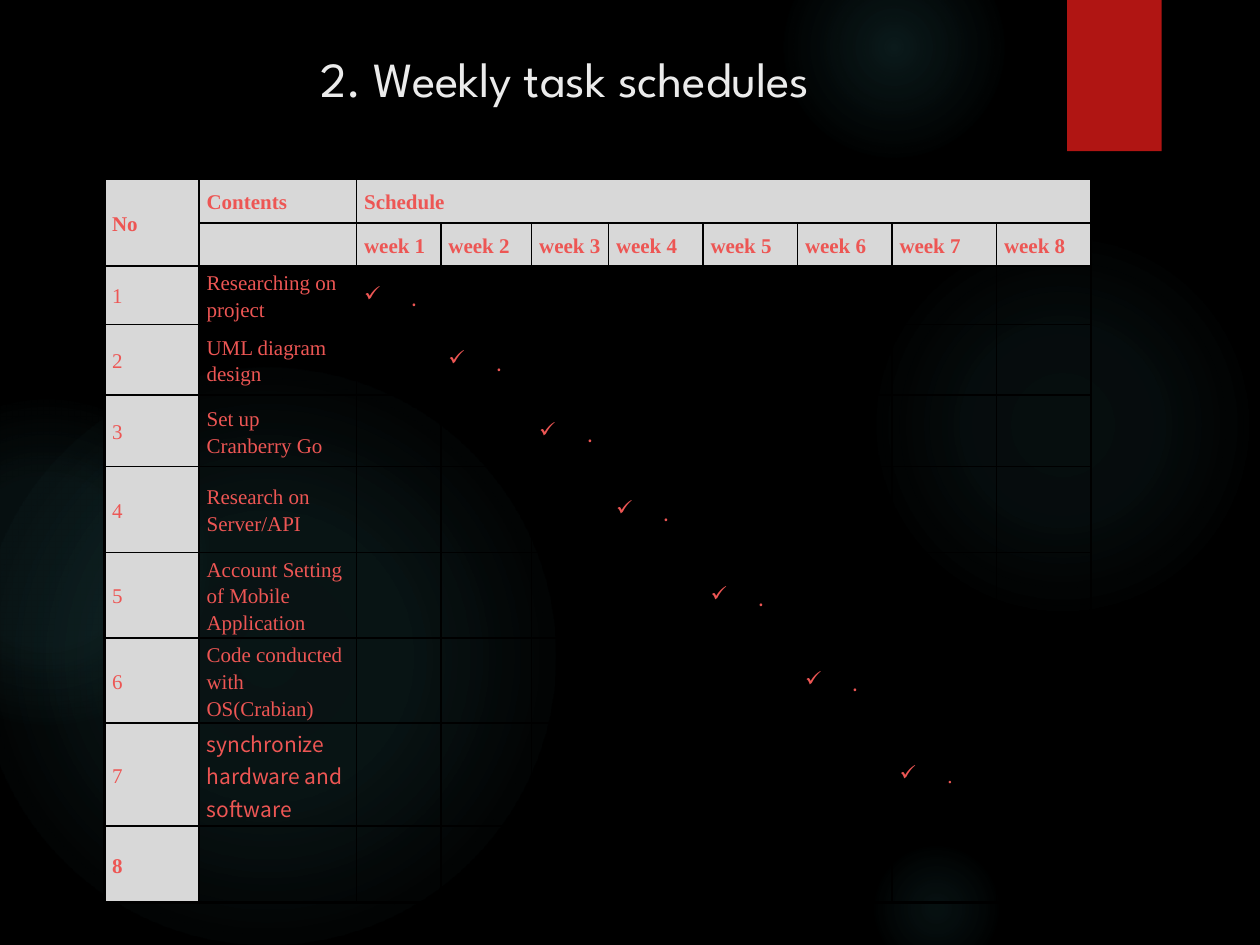
"""Build the weekly task schedule slide."""
from lxml.etree import SubElement
from pptx import Presentation
from pptx.dml.color import RGBColor
from pptx.enum.shapes import MSO_SHAPE as Shape
from pptx.enum.text import MSO_ANCHOR as Anchor, PP_ALIGN as Align
from pptx.oxml import parse_xml
from pptx.oxml.ns import nsdecls, qn
from pptx.util import Inches, Pt

SERIF, SANS = "Times New Roman", "Noto Sans CJK KR"
GREY, CORAL = "D8D8D8", "ED5654"


def color(value):
    return RGBColor.from_string(value)


presentation = Presentation()
presentation.slide_width, presentation.slide_height = Inches(10), Inches(7.5)
slide = presentation.slides.add_slide(presentation.slide_layouts[5])
slide.background.fill.solid()
slide.background.fill.fore_color.rgb = color("000000")

glows = [
    (6.89, 1.83, 3.08, (7, 6), 69),
    (6.22, -0.5, 1.75, (14, 7), 73),
    (6.89, 6.67, 1.08, (9, 5), 66),
    (-0.17, 2.92, 4.58, (11, 10), 75),
    (-0.92, 3.17, 2.58, (8, 8), 72),
]
for left, top, size, (inner, middle), edge in glows:
    glow = slide.shapes.add_shape(
        Shape.OVAL, Inches(left), Inches(top), Inches(size), Inches(size))
    glow.shadow.inherit = False
    glow.line.fill.background()
    stops = "".join(
        f'<a:gs pos="{position * 1000}"><a:srgbClr val="50B9C1">'
        f'<a:alpha val="{alpha * 1000}"/></a:srgbClr></a:gs>'
        for position, alpha in [(0, inner), (36, middle), (edge, 0)])
    gradient = parse_xml(
        f'<a:gradFill {nsdecls("a")} rotWithShape="1"><a:gsLst>{stops}</a:gsLst>'
        '<a:path path="circle"><a:fillToRect l="50000" t="50000" r="50000" b="50000"/>'
        '</a:path></a:gradFill>')
    glow.element.spPr.find(qn("a:prstGeom")).addnext(gradient)

ribbon = slide.shapes.add_shape(
    Shape.RECTANGLE, Inches(8.47), Inches(0), Inches(0.75), Inches(1.2))
ribbon.shadow.inherit = False
ribbon.fill.solid()
ribbon.fill.fore_color.rgb = color("B01513")
ribbon.line.fill.background()

tasks = [
    "Researching on project",
    "UML diagram design",
    "Set up Cranberry Go",
    "Research on Server/API",
    "Account Setting of Mobile Application",
    "Code conducted with OS(Crabian)",
    "synchronize hardware and software",
    "",
]
weeks = len(tasks)
rows = [["No", "Contents", "Schedule"] + [""] * (weeks - 1),
        ["", ""] + [f"week {week}" for week in range(1, weeks + 1)]]
for number, task in enumerate(tasks, 1):
    marks = ["." if task and week == number else "" for week in range(1, weeks + 1)]
    rows.append([str(number), task] + marks)

widths = [0.75, 1.25, 0.67, 0.72, 0.61, 0.75, 0.75, 0.75, 0.83, 0.75]
heights = [0.35, 0.34, 0.34, 0.56, 0.57, 0.68, 0.67, 0.63, 0.6, 0.61]
table = slide.shapes.add_table(
    len(rows), len(widths), Inches(0.83), Inches(1.42),
    Inches(sum(widths)), Inches(sum(heights))).table
table.first_row = table.horz_banding = False
for column, width in zip(table.columns, widths):
    column.width = Inches(width)
for row, height in zip(table.rows, heights):
    row.height = Inches(height)
table.cell(0, 0).merge(table.cell(1, 0))
table.cell(0, 2).merge(table.cell(0, len(widths) - 1))

last_row, last_column = len(rows) - 1, len(widths) - 1
for row_index, texts in enumerate(rows):
    for column_index, text in enumerate(texts):
        cell = table.cell(row_index, column_index)
        cell.vertical_anchor = Anchor.MIDDLE
        cell.margin_left = cell.margin_right = Inches(0.06)
        cell.margin_top = cell.margin_bottom = Inches(0.02)
        outer_sides = {"L": column_index == 0, "R": column_index == last_column,
                       "T": row_index == 0, "B": row_index == last_row}
        for side, outer in outer_sides.items():
            border = SubElement(cell._tc.get_or_add_tcPr(), qn(f"a:ln{side}"),
                                w=str(Pt(1.5 if outer else 1)))
            border_fill = SubElement(border, qn("a:solidFill"))
            SubElement(border_fill, qn("a:srgbClr"), val="000000")
        header = row_index < 2
        if header or column_index == 0:
            cell.fill.solid()
            cell.fill.fore_color.rgb = color(GREY)
        else:
            cell.fill.background()

        paragraph = cell.text_frame.paragraphs[0]
        if not text:
            SubElement(paragraph._p, qn("a:endParaRPr"), sz="1200")
            continue
        paragraph.text = text
        paragraph.line_spacing = 1.07 if text == tasks[6] else 1.15
        font = paragraph.runs[0].font
        font.name = SANS if text in (tasks[6], ".") and row_index != last_row - 1 or text == tasks[6] else SERIF
        font.size = Pt(12)
        font.bold = header or text == str(weeks)
        font.color.rgb = color(CORAL)
        if text == ".":
            properties = paragraph._p.get_or_add_pPr()
            properties.set("marL", str(Inches(0.38)))
            properties.set("indent", str(Inches(-0.38)))
            SubElement(properties, qn("a:buChar"), char="✓")

title = slide.shapes.title
title.element.getparent().append(title.element)
title.left, title.top = Inches(0.67), Inches(0.33)
title.width, title.height = Inches(7.72), Inches(0.58)
title.text_frame.text = "2. Weekly task schedules "
title.text_frame.vertical_anchor = Anchor.MIDDLE
paragraph = title.text_frame.paragraphs[0]
paragraph.alignment = Align.CENTER
font = paragraph.runs[0].font
font.name, font.size = "League Spartan", Pt(28)
font.color.rgb = color("EBEBEB")

presentation.save("out.pptx")
